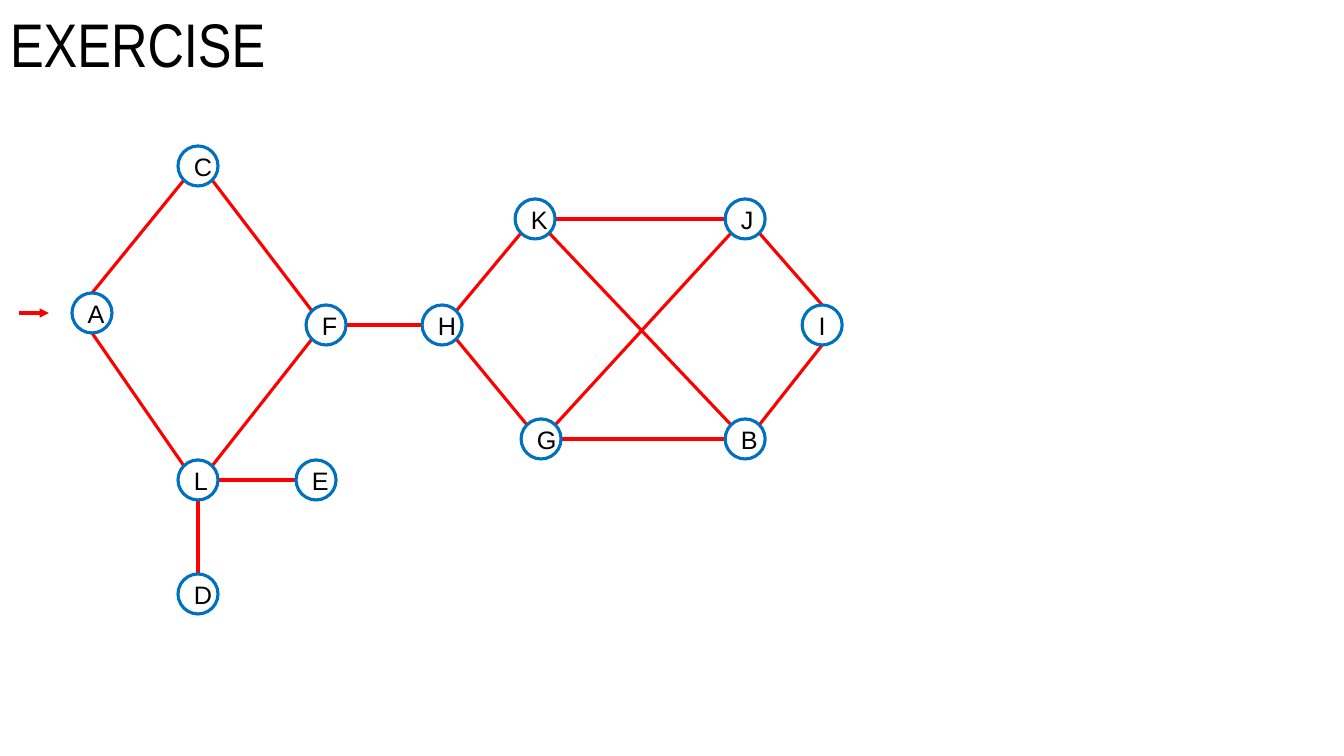
from dataclasses import dataclass
from math import cos, radians, sin

from lxml.etree import SubElement
from pptx import Presentation
from pptx.dml.color import RGBColor
from pptx.enum.shapes import MSO_CONNECTOR, MSO_SHAPE
from pptx.enum.text import MSO_ANCHOR, MSO_AUTO_SIZE, PP_ALIGN
from pptx.oxml.ns import qn
from pptx.util import Inches, Pt

TITLE = "EXERCISE"
TITLE_BOX = (0, 0, 1159, 95)
DIAMETER = 40

# Node centres in px
NODES = {
    "C": (198, 166), "A": (92, 313), "F": (326, 325), "K": (535, 219),
    "J": (745, 219), "B": (745, 439), "G": (541, 439), "E": (316, 480),
    "D": (198, 594), "I": (822, 325), "H": (442, 325), "L": (198, 480),
}
# Each edge leaves one node and enters another at a compass point of its rim
EDGES = [
    ("C", "SW", "A", "N"), ("C", "SE", "F", "NW"), ("A", "S", "L", "NW"),
    ("F", "SW", "L", "NE"), ("F", "E", "H", "W"), ("G", "NE", "J", "SW"),
    ("J", "SE", "I", "N"), ("I", "S", "B", "NE"), ("J", "W", "K", "E"),
    ("K", "SW", "H", "NE"), ("H", "SE", "G", "NW"), ("G", "E", "B", "W"),
    ("D", "N", "L", "S"), ("E", "W", "L", "E"), ("B", "NW", "K", "SE"),
]
START_ARROW = ((19, 313), (49, 313))
COMPASS = ("E", "SE", "S", "SW", "W", "NW", "N", "NE")


@dataclass(frozen=True)
class Theme:
    text: RGBColor = RGBColor(0, 0, 0)
    edge: RGBColor = RGBColor(0xFF, 0, 0)
    ring: RGBColor = RGBColor(0, 0x70, 0xC0)
    node: RGBColor = RGBColor(0xFF, 0xFF, 0xFF)
    title_font: str = "Arial Narrow"
    node_font: str = "Arial"
    title_size: Pt = Pt(44)
    node_size: Pt = Pt(18)
    stroke: Pt = Pt(2.25)


THEME = Theme()


def px(n):
    return round(n * Inches(1) / 100.8)


def set_font(p, name, size):
    p.font.name, p.font.size = name, size
    p.font.color.rgb = THEME.text


def rim_point(node, direction):
    x, y = NODES[node]
    angle = radians(45 * COMPASS.index(direction))
    return x + DIAMETER / 2 * cos(angle), y + DIAMETER / 2 * sin(angle)


def add_line(slide, start, end):
    line = slide.shapes.add_connector(
        MSO_CONNECTOR.STRAIGHT, *map(px, (*start, *end)))
    line.line.color.rgb = THEME.edge
    line.line.width = THEME.stroke
    SubElement(line._element.spPr, qn("a:effectLst"))
    return line


def add_node(slide, name, centre):
    x, y = (c - DIAMETER / 2 for c in centre)
    sp = slide.shapes.add_shape(
        MSO_SHAPE.OVAL, *map(px, (x, y, DIAMETER, DIAMETER)))
    sp.shadow.inherit = False
    sp.fill.solid()
    sp.fill.fore_color.rgb = THEME.node
    sp.line.color.rgb = THEME.ring
    sp.line.width = THEME.stroke
    tf = sp.text_frame
    tf.text = name
    tf.vertical_anchor = MSO_ANCHOR.MIDDLE
    p = tf.paragraphs[0]
    p.alignment = PP_ALIGN.CENTER
    set_font(p, THEME.node_font, THEME.node_size)


def add_title(slide):
    title = slide.shapes.title
    title.left, title.top, title.width, title.height = map(px, TITLE_BOX)
    tf = title.text_frame
    tf.text = TITLE
    tf.auto_size = MSO_AUTO_SIZE.NONE
    tf.vertical_anchor = MSO_ANCHOR.MIDDLE
    p = tf.paragraphs[0]
    p.alignment = PP_ALIGN.LEFT
    p.line_spacing = 0.9
    set_font(p, THEME.title_font, THEME.title_size)


def main():
    prs = Presentation()
    prs.slide_width, prs.slide_height = Inches(13.33), Inches(7.5)
    slide = prs.slides.add_slide(prs.slide_layouts.get_by_name("Title Only"))
    add_title(slide)
    for start, leave, end, enter in EDGES:
        add_line(slide, rim_point(start, leave), rim_point(end, enter))
    arrow = add_line(slide, *START_ARROW)
    SubElement(arrow.line._get_or_add_ln(), qn("a:tailEnd"), type="triangle")
    for name, centre in NODES.items():
        add_node(slide, name, centre)
    prs.save("out.pptx")


if __name__ == "__main__":
    main()
